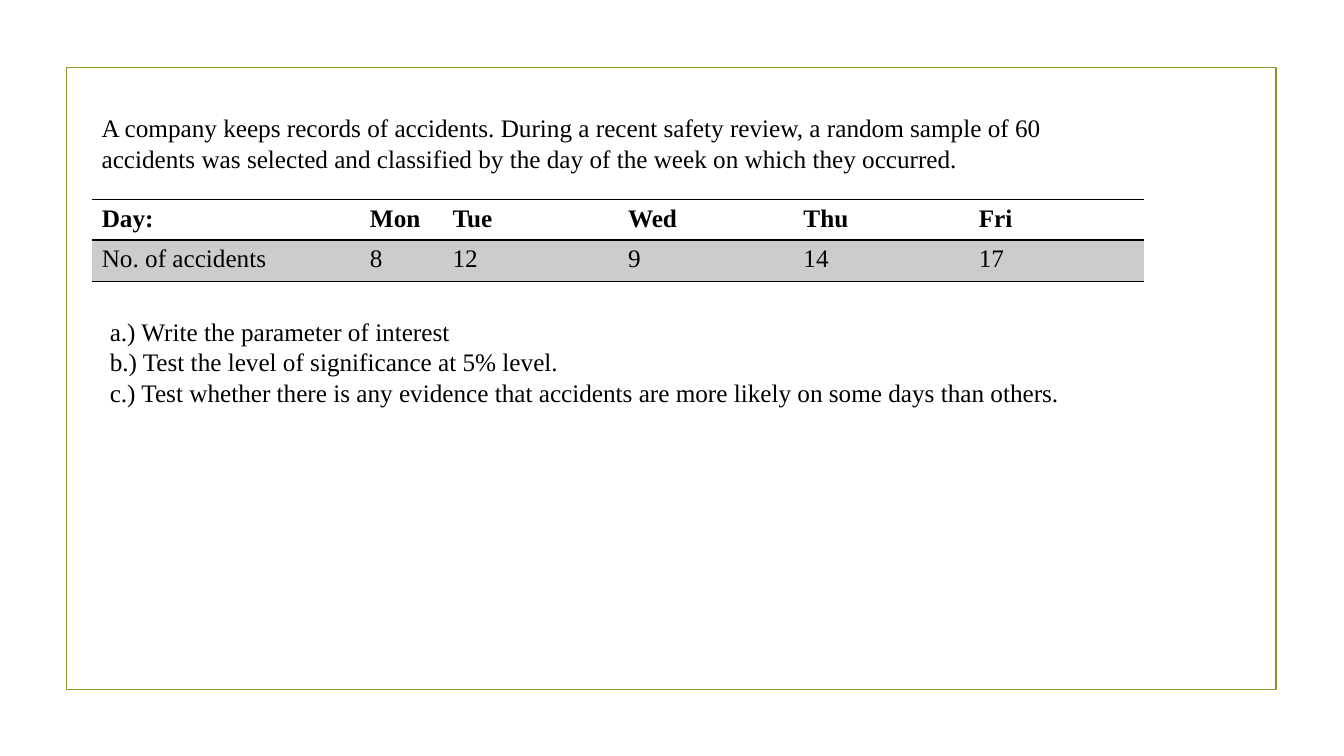
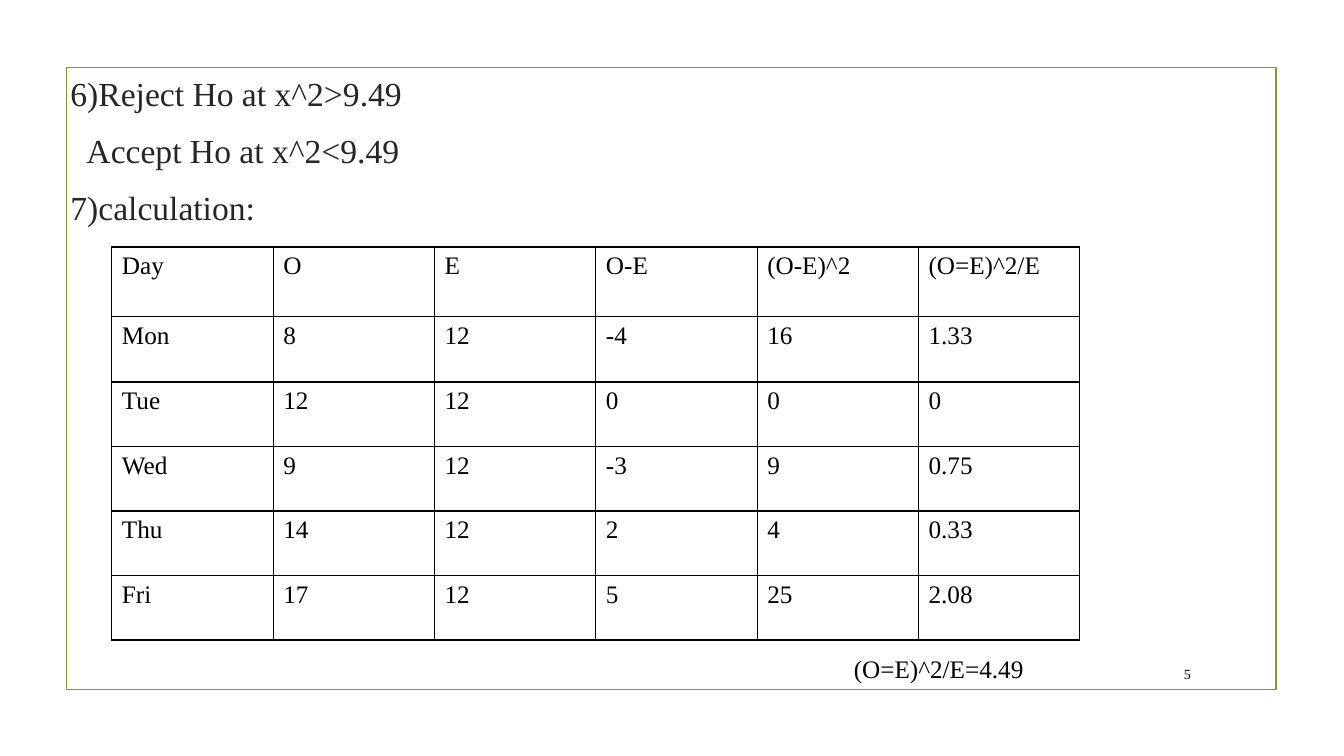
from dataclasses import dataclass

from lxml import etree
from pptx import Presentation
from pptx import util as u
from pptx.dml import color
from pptx.enum import shapes, text
from pptx.oxml import ns

PX = 9144
FONT = "Times New Roman"
BLACK = "000000"
GREY = "CCCCCC"
GREEN = "83992A"
INK = "262626"


@dataclass(frozen=True)
class Box:
    x: int
    y: int
    w: int
    h: int

    def emu(self) -> tuple[int, ...]:
        return tuple(n * PX for n in (self.x, self.y, self.w, self.h))


@dataclass(frozen=True)
class Note:
    box: Box
    lines: tuple[str, ...]
    size: int = 18
    ink: str = BLACK
    gap: int = 0
    inset: tuple[int, ...] = ()
    right: bool = False
    middle: bool = False


@dataclass(frozen=True)
class Grid:
    x: int
    y: int
    cols: tuple[int, ...]
    rows: tuple[int, ...]
    data: tuple[tuple[str, ...], ...]
    fills: tuple[str, ...] = ()
    edges: str = "LRTB"
    bold: bool = False


FRAME = Box(66, 67, 1200, 617)

INTRO = Note(Box(91, 107, 984, 70), (
    "A company keeps records of accidents. During a recent safety review, "
    "a random sample of 60 accidents was selected and classified by the day "
    "of the week on which they occurred.",))

COUNTS = Grid(
    91, 198, (266, 82) + (174,) * 4, (40, 41),
    (("Day:", "Mon", "Tue", "Wed", "Thu", "Fri"),
     ("No. of accidents", "8", "12", "9", "14", "17")),
    fills=("", GREY), edges="TB", bold=True)

TASKS = Note(Box(99, 309, 1029, 100), (
    "a.) Write the parameter of interest",
    "b.) Test the level of significance at 5% level.",
    "c.) Test whether there is any evidence that accidents are more likely "
    "on some days than others."))

RULES = Note(Box(60, 67, 910, 382), (
    "6)Reject Ho at x^2>9.49",
    "Accept Ho at x^2<9.49",
    "7)calculation:"), size=24, ink=INK, gap=6, inset=(0, 16, 0))

CALC = Grid(
    111, 245, (160,) * 6, (69, 65) + (64,) * 4,
    (("Day", "O", "E", "O-E", "(O-E)^2", "(O=E)^2/E"),
     ("Mon", "8", "12", "-4", "16", "1.33"),
     ("Tue", "12", "12", "0", "0", "0"),
     ("Wed", "9", "12", "-3", "9", "0.75"),
     ("Thu", "14", "12", "2", "4", "0.33"),
     ("Fri", "17", "12", "5", "25", "2.08")))

TOTAL = Note(Box(837, 643, 210, 40), ("(O=E)^2/E=4.49",))
PAGE = Note(Box(1132, 653, 59, 31), ("5",), size=10, right=True, middle=True)

PAGES = ((INTRO, COUNTS, TASKS), (PAGE, RULES, CALC, TOTAL))


def rgb(code: str) -> color.RGBColor:
    return color.RGBColor.from_string(code)


def style(par, size: int, ink: str, bold: bool = False) -> None:
    for run in par.runs:
        run.font.name = FONT
        run.font.size = u.Pt(size)
        run.font.bold = bold
        run.font.color.rgb = rgb(ink)


def edge(cell, side: str, shown: bool) -> None:
    props = cell._tc.get_or_add_tcPr()
    line = etree.SubElement(props, ns.qn(f"a:ln{side}"), w=str(u.Pt(1)))
    if shown:
        fill = etree.SubElement(line, ns.qn("a:solidFill"))
        etree.SubElement(fill, ns.qn("a:srgbClr"), val=BLACK)
    else:
        etree.SubElement(line, ns.qn("a:noFill"))


def draw_frame(slide) -> None:
    frame = slide.shapes.add_shape(shapes.MSO_SHAPE.RECTANGLE, *FRAME.emu())
    frame.shadow.inherit = False
    frame.fill.background()
    frame.line.color.rgb = rgb(GREEN)
    frame.line.width = u.Pt(1.25)


def draw_note(slide, note: Note) -> None:
    body = slide.shapes.add_textbox(*note.box.emu()).text_frame
    body.word_wrap = True
    if note.middle:
        body.vertical_anchor = text.MSO_ANCHOR.MIDDLE
    body.text = "\n".join(note.lines)
    for par in body.paragraphs:
        style(par, note.size, note.ink)
        par.space_before = par.space_after = u.Pt(note.gap)
        if note.right:
            par.alignment = text.PP_ALIGN.RIGHT
    for par, inset in zip(body.paragraphs, note.inset):
        par._p.get_or_add_pPr().set("marL", str(inset * PX))


def draw_grid(slide, grid: Grid) -> None:
    box = Box(grid.x, grid.y, sum(grid.cols), sum(grid.rows))
    table = slide.shapes.add_table(
        len(grid.rows), len(grid.cols), *box.emu()).table
    table.first_row = table.horz_banding = False
    for col, width in zip(table.columns, grid.cols):
        col.width = width * PX
    for r, (row, height) in enumerate(zip(table.rows, grid.rows)):
        row.height = height * PX
        for cell, word in zip(row.cells, grid.data[r]):
            cell.text_frame.text = word
            style(cell.text_frame.paragraphs[0], 18, BLACK,
                  grid.bold and r == 0)
            for side in "LRTB":
                edge(cell, side, side in grid.edges)
            if grid.fills and grid.fills[r]:
                cell.fill.solid()
                cell.fill.fore_color.rgb = rgb(grid.fills[r])
            else:
                cell.fill.background()


def main() -> None:
    deck = Presentation()
    deck.slide_width, deck.slide_height = 1333 * PX, 750 * PX
    for parts in PAGES:
        slide = deck.slides.add_slide(deck.slide_layouts[6])
        draw_frame(slide)
        for part in parts:
            if isinstance(part, Grid):
                draw_grid(slide, part)
            else:
                draw_note(slide, part)
    deck.save("out.pptx")


if __name__ == "__main__":
    main()
